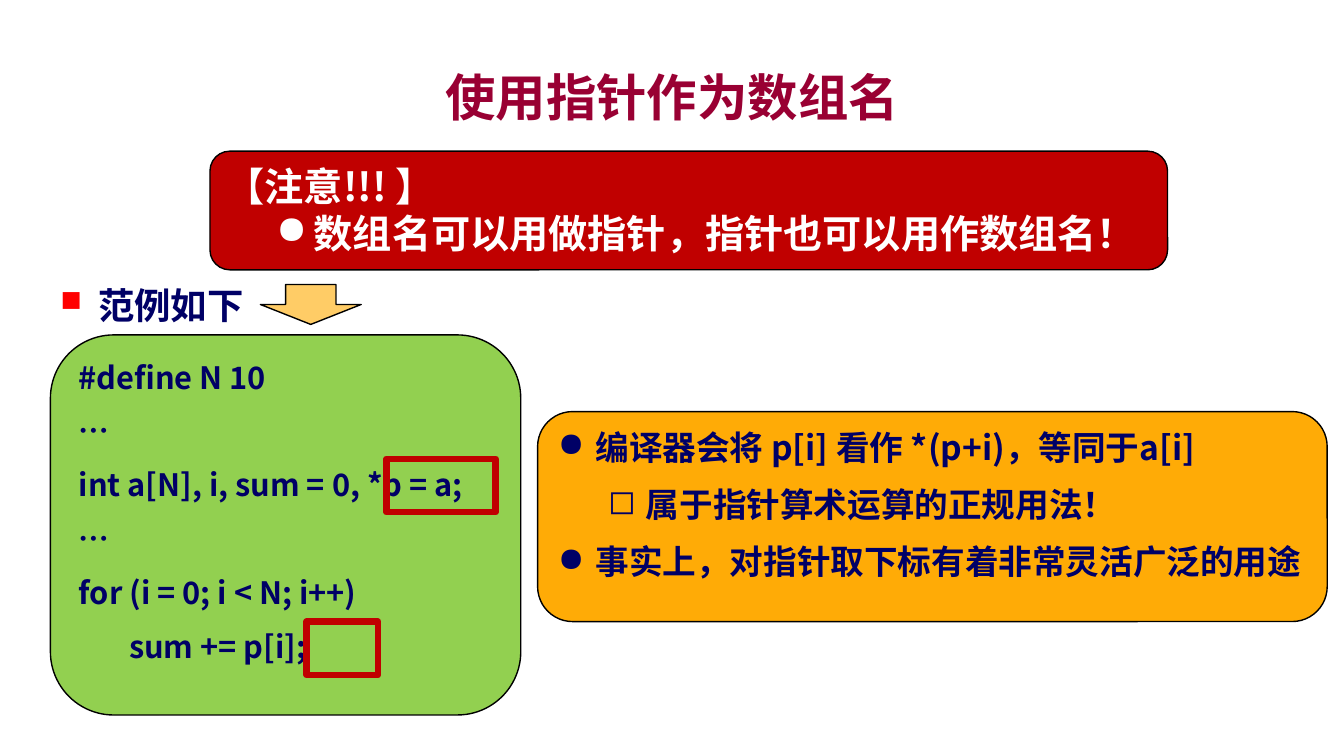
from dataclasses import dataclass
from typing import Any

import pptx
import pptx.dml.color
import pptx.enum.shapes
import pptx.enum.text
import pptx.oxml.ns
import pptx.util
from lxml import etree

EMU_PER_PX = 9525
SANS = "Noto Sans CJK SC"
NAVY, RED, BLACK, WHITE = "000066", "C00000", "000000", "FFFFFF"
GEOMETRY = pptx.enum.shapes.MSO_SHAPE
ALIGN = pptx.enum.text.PP_ALIGN


@dataclass
class Line:
    text: str
    level: int = 0
    bullet: str = ""
    bullet_color: str = ""
    bullet_percent: int = 0


@dataclass
class TextStyle:
    size: int
    color: str = NAVY
    font: str = SANS
    gap: int = 0
    spacing: float = 1.0
    align: Any = ALIGN.LEFT
    anchor: Any = pptx.enum.text.MSO_ANCHOR.TOP


@dataclass
class Panel:
    left: int
    top: int
    width: int
    height: int
    geometry: Any = None  # None makes a plain text box
    fill: str = ""
    border: str = BLACK
    border_width: float = 1
    style: TextStyle | None = None
    lines: tuple[Line, ...] = ()


def px(value: int) -> int:
    return pptx.util.Emu(value * EMU_PER_PX)


def rgb(value: str) -> pptx.dml.color.RGBColor:
    return pptx.dml.color.RGBColor.from_string(value)


def apply(target: Any, values: dict[str, Any]) -> None:
    for name, value in values.items():
        setattr(target, name, value)


def add_element(parent: Any, tag: str, **attributes: str) -> Any:
    return etree.SubElement(parent, pptx.oxml.ns.qn(tag), attributes)


def add_bullet(para: Any, line: Line) -> None:
    properties = para._p.get_or_add_pPr()
    properties.set("marL", str(px(36 + 48 * line.level)))
    properties.set("indent", str(px(-36)))
    if line.bullet_color:
        color = add_element(properties, "a:buClr")
        add_element(color, "a:srgbClr", val=line.bullet_color)
    if line.bullet_percent:
        add_element(properties, "a:buSzPct", val=str(line.bullet_percent * 1000))
    add_element(properties, "a:buChar", char=line.bullet)


def write_lines(frame: Any, lines: tuple[Line, ...], style: TextStyle) -> None:
    apply(frame, {"word_wrap": True, "vertical_anchor": style.anchor})
    for index, line in enumerate(lines):
        para = frame.add_paragraph() if index else frame.paragraphs[0]
        if line.bullet:
            add_bullet(para, line)
        apply(para, {
            "level": line.level,
            "alignment": style.align,
            "line_spacing": style.spacing,
            "space_before": pptx.util.Pt(style.gap if index else 0),
            "space_after": pptx.util.Pt(style.gap),
        })
        span = para.add_run()
        span.text = line.text
        apply(span.font, {"size": pptx.util.Pt(style.size), "bold": True, "name": style.font})
        span.font.color.rgb = rgb(style.color)
        add_element(span.font._element, "a:ea", typeface=SANS)


def draw_panel(page: Any, panel: Panel) -> None:
    bounds = [px(v) for v in (panel.left, panel.top, panel.width, panel.height)]
    if panel.geometry is None:
        box = page.shapes.add_textbox(*bounds)
    else:
        box = page.shapes.add_shape(panel.geometry, *bounds)
        box.shadow.inherit = False
        if panel.fill:
            box.fill.solid()
            box.fill.fore_color.rgb = rgb(panel.fill)
        else:
            box.fill.background()
        box.line.color.rgb = rgb(panel.border)
        box.line.width = pptx.util.Pt(panel.border_width)
    if panel.style:
        write_lines(box.text_frame, panel.lines, panel.style)


def code_marker(left: int, top: int, width: int) -> Panel:
    return Panel(left, top, width, 51, GEOMETRY.RECTANGLE, border=RED, border_width=4.5)


CODE = (
    "#define N 10",
    "…",
    "int a[N], i, sum = 0, *p = a;",
    "…",
    "for (i = 0; i < N; i++)",
    "\tsum += p[i];",
)

PANELS = (
    # Title
    Panel(96, 56, 1088, 72,
          style=TextStyle(36, "990033", "Arial", align=ALIGN.CENTER,
                          anchor=pptx.enum.text.MSO_ANCHOR.MIDDLE),
          lines=(Line("使用指针作为数组名"),)),
    # Explanation
    Panel(512, 392, 752, 200, GEOMETRY.ROUNDED_RECTANGLE, "FFAB06",
          style=TextStyle(24, gap=6),
          lines=(Line("编译器会将 p[i] 看作 *(p+i)，等同于a[i]", bullet="●"),
                 Line("属于指针算术运算的正规用法！", 1, "◻"),
                 Line("事实上，对指针取下标有着非常灵活广泛的用途", bullet="●"))),
    # Code example
    Panel(48, 319, 448, 362, GEOMETRY.ROUNDED_RECTANGLE, "92D050",
          style=TextStyle(22, gap=6), lines=tuple(Line(text) for text in CODE)),
    # Warning
    Panel(200, 144, 912, 113, GEOMETRY.ROUNDED_RECTANGLE, RED,
          style=TextStyle(28, WHITE),
          lines=(Line("【注意!!! 】"),
                 Line("数组名可以用做指针，指针也可以用作数组名！", 1, "●"))),
    # Arrow and code markers
    Panel(248, 271, 96, 38, GEOMETRY.DOWN_ARROW, "FFCC66"),
    code_marker(368, 437, 104),
    code_marker(292, 592, 68),
    # Example heading
    Panel(48, 244, 200, 68, style=TextStyle(26, spacing=1.5),
          lines=(Line("范例如下", 0, "■", "FF0000", 80),)),
)


def main() -> None:
    deck = pptx.Presentation()
    apply(deck, {"slide_width": px(1280), "slide_height": px(720)})
    page = deck.slides.add_slide(deck.slide_layouts[6])
    for panel in PANELS:
        draw_panel(page, panel)
    deck.save("out.pptx")


if __name__ == "__main__":
    main()
